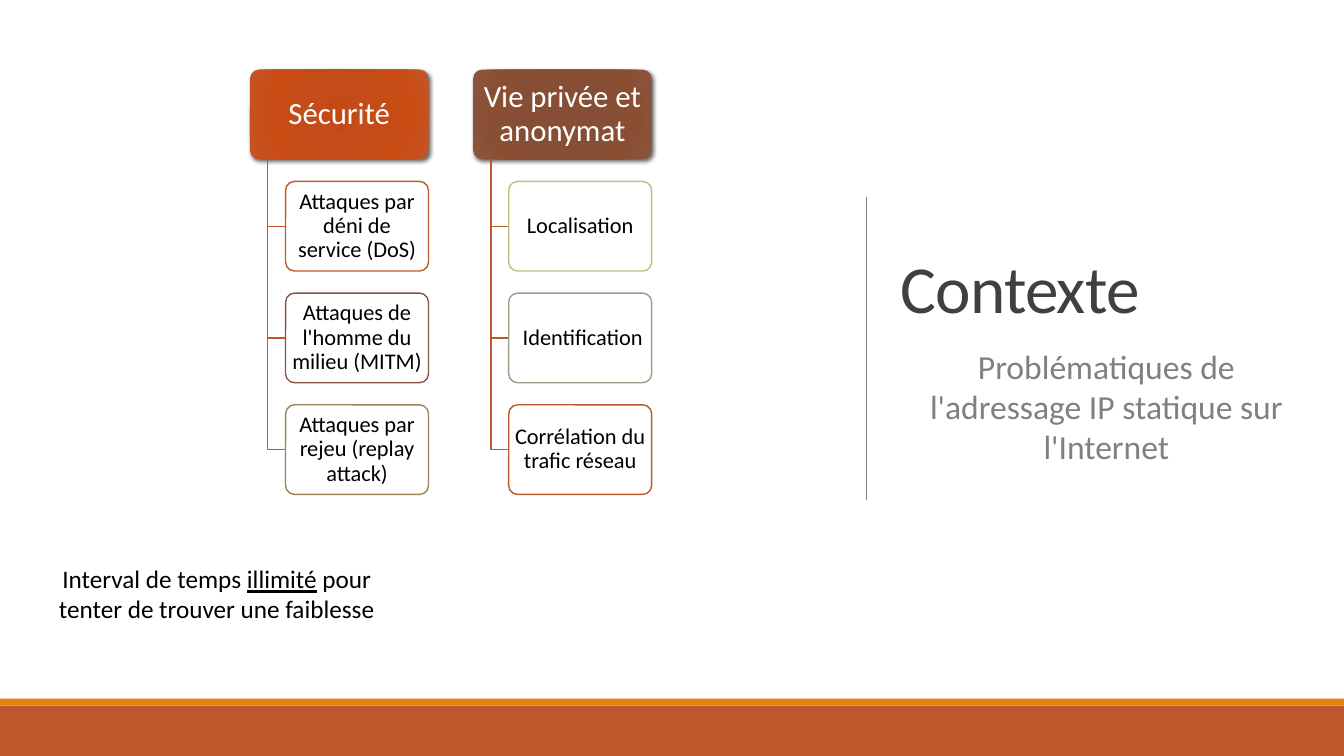
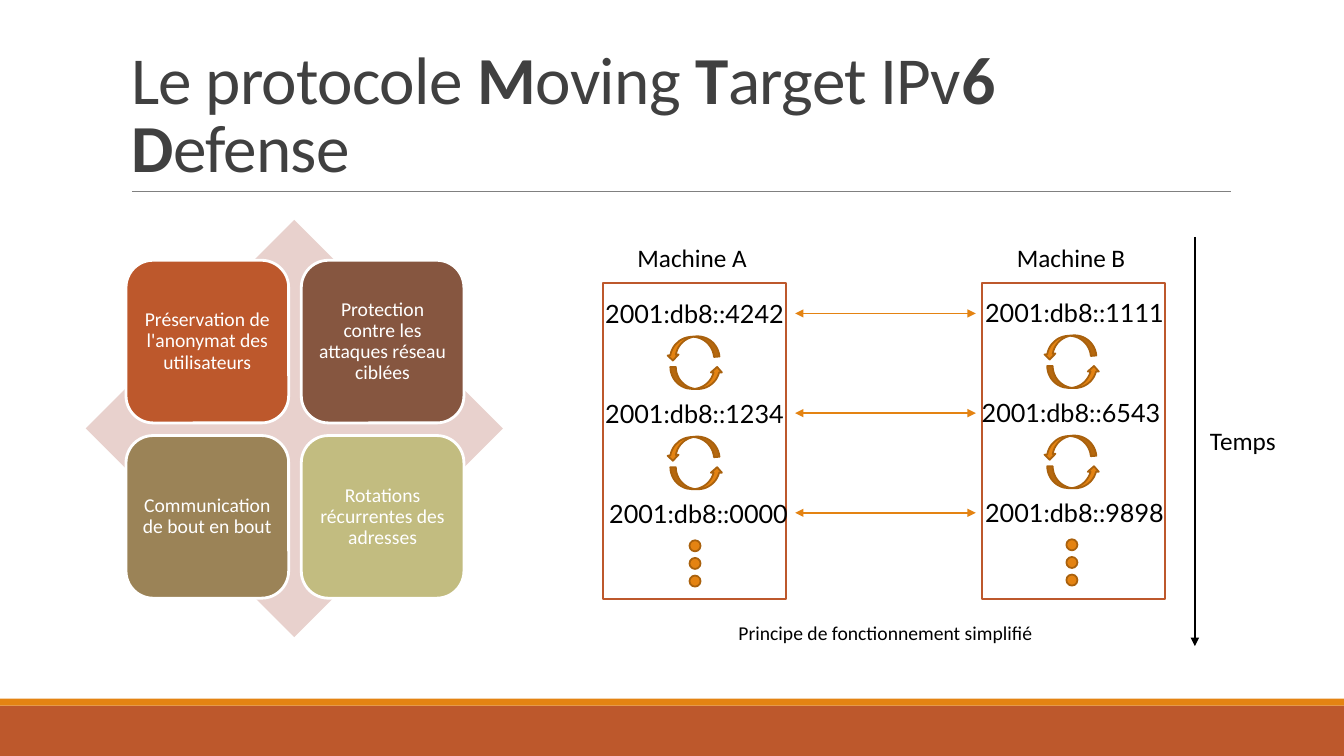
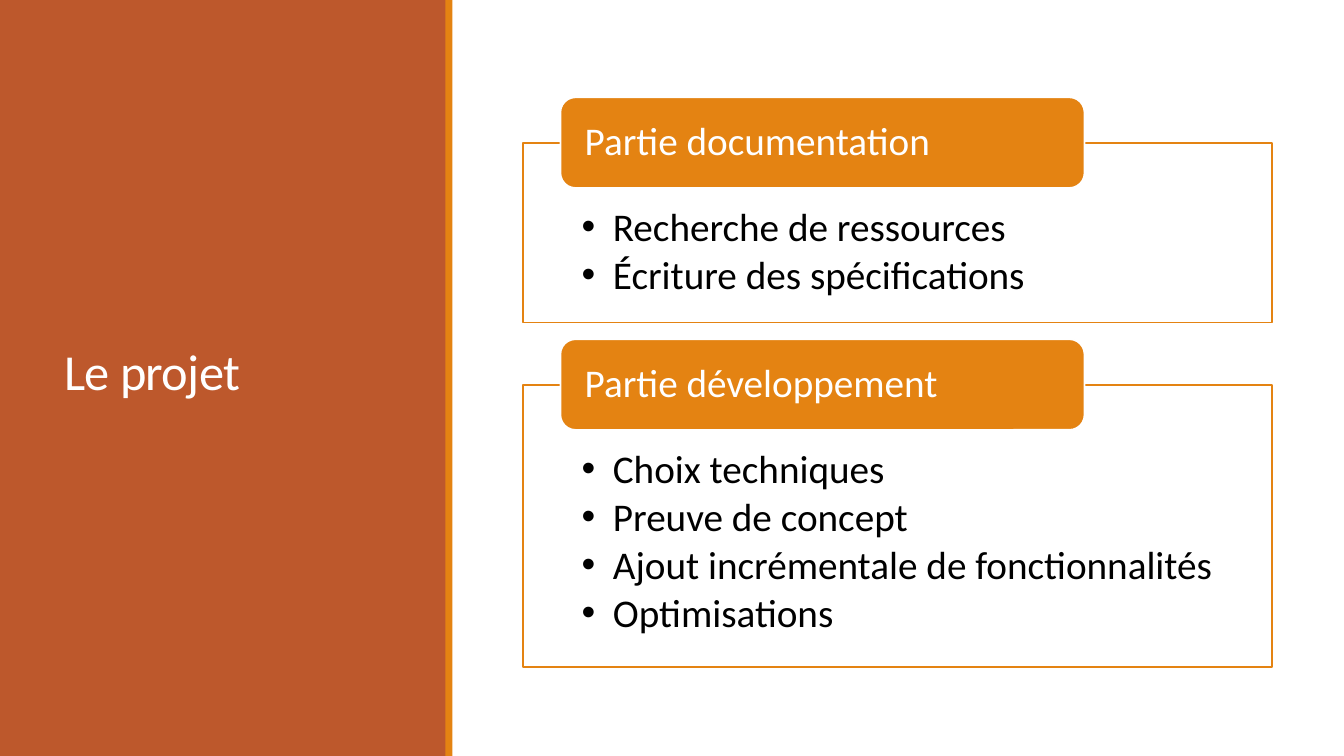
import lxml.etree
import pptx
import pptx.dml.color
import pptx.enum.shapes
import pptx.enum.text
import pptx.oxml.ns
import pptx.util

Pt = pptx.util.Pt
RGBColor = pptx.dml.color.RGBColor
SHAPE = pptx.enum.shapes.MSO_SHAPE
ALIGN = pptx.enum.text.PP_ALIGN
ANCHOR = pptx.enum.text.MSO_ANCHOR
qn = pptx.oxml.ns.qn

WHITE = RGBColor(0xFF, 0xFF, 0xFF)
BLACK = RGBColor(0, 0, 0)
DARK = RGBColor(0x40, 0x40, 0x40)
GREY = RGBColor(0x80, 0x80, 0x80)
ORANGE = RGBColor(0xE4, 0x83, 0x12)
BROWN_ORANGE = RGBColor(0xA9, 0x61, 0x0D)
RUST = RGBColor(0xBD, 0x58, 0x2C)
BROWN = RGBColor(0x86, 0x56, 0x40)
KHAKI = RGBColor(0x9B, 0x83, 0x57)
OLIVE = RGBColor(0xC2, 0xBC, 0x80)
SAGE = RGBColor(0x94, 0xA0, 0x88)
PINK = RGBColor(0xE8, 0xD1, 0xCD)

WIDTH, HEIGHT = 960, 540
FONT = "Calibri"
ADDRESS_FONT = "Lato"

ISSUES = [
    ("Sécurité", ("C44A15", "C34C18", "C94C15", "C45525"), [
        ("Attaques par déni de service (DoS)", RUST),
        ("Attaques de l'homme du milieu (MITM)", BROWN),
        ("Attaques par rejeu (replay attack)", KHAKI),
    ]),
    ("Vie privée et anonymat", ("874C32", "864E34", "8A4E33", "8A553D"), [
        ("Localisation", OLIVE),
        (" Identification", SAGE),
        ("Corrélation du trafic réseau", RUST),
    ]),
]
GRADIENT_STOPS = (0, 34, 70, 100)
REMARK = [("Interval de temps ", False), ("illimité", True),
          (" pour tenter de trouver une faiblesse", False)]

PROTOCOL_TITLE = [("Le protocole ", False), ("M", True), ("oving ", False), ("T", True),
                  ("arget IPv", False), ("6 D", True), ("efense", False)]
GOALS = [
    ("Préservation de l'anonymat des utilisateurs", RUST),
    ("Protection contre les attaques réseau ciblées", BROWN),
    ("Communication de bout en bout", KHAKI),
    ("Rotations récurrentes des adresses", OLIVE),
]
MACHINES = [
    {"name": "Machine A", "left": 430.6, "shift": (0, 0),
     "addresses": [("2001:db8::4242", 0), ("2001:db8::1234", 0), ("2001:db8::0000", 2.9)]},
    {"name": "Machine B", "left": 701.3, "shift": (-1.5, -0.7),
     "addresses": [("2001:db8::1111", 0.7), ("2001:db8::6543", -1.8), ("2001:db8::9898", 0.7)]},
]

PARTS = [
    ("Partie documentation", 102.2, 128.2,
     ["Recherche de ressources", "Écriture des spécifications"]),
    ("Partie développement", 275, 201.6,
     ["Choix techniques", "Preuve de concept",
      "Ajout incrémentale de fonctionnalités", "Optimisations"]),
]


def add_node(parent, tag, **attributes):
    return lxml.etree.SubElement(parent, qn(tag), attributes)


def place(shape, left, top, width, height):
    shape.left, shape.top, shape.width, shape.height = Pt(left), Pt(top), Pt(width), Pt(height)


def paint(shape, fill=None, line=None, weight=1.25):
    if fill is None:
        shape.fill.background()
    else:
        shape.fill.solid()
        shape.fill.fore_color.rgb = fill
    if line is None:
        shape.line.fill.background()
    else:
        shape.line.color.rgb = line
        shape.line.width = Pt(weight)


def set_margins(frame, left, top, right, bottom):
    frame.margin_left, frame.margin_top = Pt(left), Pt(top)
    frame.margin_right, frame.margin_bottom = Pt(right), Pt(bottom)


def style(frame, size, color, align=ALIGN.CENTER, spacing=None, font=FONT):
    frame.word_wrap = True
    for para in frame.paragraphs:
        para.alignment = align
        if spacing:
            para.line_spacing = spacing
        for span in para.runs:
            span.font.name = font
            span.font.size = Pt(size)
            span.font.color.rgb = color


def add_spans(para, spans, attribute):
    for text, marked in spans:
        span = para.add_run()
        span.text = text
        if marked:
            setattr(span.font, attribute, True)


def add_box(slide, kind, bounds, fill=None, line=None, weight=1.25):
    box = slide.shapes.add_shape(kind, *map(Pt, bounds))
    box.shadow.inherit = False
    paint(box, fill, line, weight)
    return box


def label_box(box, text, size, color, margins, align=ALIGN.CENTER):
    frame = box.text_frame
    frame.text = text
    frame.vertical_anchor = ANCHOR.MIDDLE
    set_margins(frame, *margins)
    style(frame, size, color, align, 0.9)


def add_text(slide, bounds, text, size, color=BLACK, font=FONT):
    box = slide.shapes.add_textbox(*map(Pt, bounds))
    if isinstance(text, str):
        box.text_frame.text = text
    else:
        add_spans(box.text_frame.paragraphs[0], text, "underline")
    style(box.text_frame, size, color, font=font)


def add_line(slide, start, end, color, weight, heads=()):
    line = slide.shapes.add_connector(pptx.enum.shapes.MSO_CONNECTOR.STRAIGHT,
                                      *map(Pt, start + end))
    line.line.color.rgb = color
    line.line.width = Pt(weight)
    for head in heads:
        add_node(line.line._get_or_add_ln(), head, type="triangle")
    add_node(line.element.spPr, "a:effectLst")


def set_title(slide, bounds, text, size=48, color=DARK, anchor=ANCHOR.MIDDLE):
    title = slide.shapes.title
    place(title, *bounds)
    frame = title.text_frame
    if isinstance(text, str):
        frame.text = text
    else:
        add_spans(frame.paragraphs[0], text, "bold")
    frame.auto_size = pptx.enum.text.MSO_AUTO_SIZE.NONE
    frame.vertical_anchor = anchor
    style(frame, size, color, ALIGN.LEFT, 0.85)
    for span in frame.paragraphs[0].runs:
        span.font._element.set("spc", "-50")
    return title


def add_bands(slide):
    add_box(slide, SHAPE.RECTANGLE, (0, 504, WIDTH, 36), RUST)
    add_box(slide, SHAPE.RECTANGLE, (0, 499, WIDTH, 5), ORANGE)


def add_glow(box, colors):
    properties = box.element.spPr
    gradient = lxml.etree.Element(qn("a:gradFill"), rotWithShape="1")
    stops = add_node(gradient, "a:gsLst")
    for position, color in zip(GRADIENT_STOPS, colors):
        add_node(add_node(stops, "a:gs", pos=str(position * 1000)), "a:srgbClr", val=color)
    center = add_node(gradient, "a:path", path="circle")
    add_node(center, "a:fillToRect", l="100000", t="100000", r="100000", b="100000")
    properties.replace(properties.find(qn("a:solidFill")), gradient)
    shadow = add_node(properties.find(qn("a:effectLst")), "a:outerShdw",
                      blurRad=str(Pt(3)), dist=str(Pt(2)), dir="2700000")
    add_node(add_node(shadow, "a:srgbClr", val="000000"), "a:alpha", val="60000")


def add_elbow(slide, left, top, right, bottom):
    builder = slide.shapes.build_freeform(Pt(left), Pt(top))
    builder.add_line_segments([(Pt(left), Pt(bottom)), (Pt(right), Pt(bottom))], close=False)
    elbow = builder.convert_to_shape()
    elbow.shadow.inherit = False
    paint(elbow, None, RUST, 1)


def build_context(deck):
    slide = deck.slides.add_slide(deck.slide_layouts[5])
    add_bands(slide)
    title = set_title(slide, (635.8, 60.5, 302.4, 398), "Contexte")
    title.text_frame.margin_bottom = Pt(103.6)
    add_line(slide, (618.5, 141), (618.5, 357), GREY, 0.5)

    top, row_pitch, height = 49.8, 79.8, 64
    for column, (heading, colors, items) in enumerate(ISSUES):
        left = 178.6 + 159.4 * column
        header = add_box(slide, SHAPE.ROUNDED_RECTANGLE, (left, top, 127.5, height), RUST)
        header.adjustments[0] = 0.1
        add_glow(header, colors)
        label_box(header, heading, 22, WHITE, (3.3, 2.2, 3.3, 2.2))
        for row, (text, color) in enumerate(items, 1):
            row_top = top + row_pitch * row
            add_elbow(slide, left + 12.7, top + height, left + 25.4, row_top + height / 2)
            box = add_box(slide, SHAPE.ROUNDED_RECTANGLE,
                          (left + 25.4, row_top, 102.1, height), WHITE, color, 1)
            box.adjustments[0] = 0.1
            label_box(box, text, 16, BLACK, (2.4, 1.6, 2.4, 1.6))

    add_text(slide, (28.8, 398.9, 252, 51), REMARK, 18)
    add_text(slide, (635.8, 243.4, 308.9, 95),
             "Problématiques de l'adressage IP statique sur l'Internet", 24, GREY)


def add_machine(slide, machine):
    left = machine["left"]
    shift_x, shift_y = machine["shift"]
    add_text(slide, (left + 16.6, 169.2, 94.3, 28.8), machine["name"], 18)
    add_box(slide, SHAPE.RECTANGLE, (left, 202.3, 131, 225.4), None, RUST)
    for row, (address, nudge) in enumerate(machine["addresses"]):
        drop = 71.6 * row + shift_y
        add_text(slide, (left - 42.5 + nudge, 209.5 + drop, 216, 28.8), address, 18,
                 font=ADDRESS_FONT)
        if row < len(machine["addresses"]) - 1:
            for offset, top, angle in ((48.2, 262.1, 0), (45.3, 240.5, 175)):
                arrow = add_box(slide, SHAPE.CURVED_UP_ARROW,
                                (left + offset + shift_x, top + drop, 37.4, 15.8),
                                ORANGE, BROWN_ORANGE)
                arrow.rotation = angle
    for dot in range(3):
        add_box(slide, SHAPE.OVAL, (left + 61.9 + shift_x, 385.9 + 12.6 * dot + shift_y, 7.9, 7.9),
                ORANGE, BROWN_ORANGE)


def build_protocol(deck):
    slide = deck.slides.add_slide(deck.slide_layouts[5])
    add_bands(slide)
    set_title(slide, (86.4, 22.3, 792, 114.5), PROTOCOL_TITLE, anchor=ANCHOR.BOTTOM)
    add_line(slide, (94.3, 136.8), (879, 136.8), GREY, 0.5)

    add_box(slide, SHAPE.DIAMOND, (61.2, 157, 298, 298), PINK)
    for index, (text, color) in enumerate(GOALS):
        row, column = divmod(index, 2)
        tile = add_box(slide, SHAPE.ROUNDED_RECTANGLE,
                       (90 + 125.2 * column, 185.9 + 125.2 * row, 116.2, 116.2), color, WHITE, 2)
        label_box(tile, text, 14, WHITE, (4.2, 4.2, 4.2, 4.2))

    for machine in MACHINES:
        add_machine(slide, machine)
    for row in range(3):
        level = 223.9 + 71.2 * row
        add_line(slide, (697, level), (568, level), ORANGE, 1.25, ("a:headEnd", "a:tailEnd"))
    add_line(slide, (853.5, 169.2), (853.5, 461.5), BLACK, 1.25, ("a:tailEnd",))
    add_text(slide, (824.4, 300.2, 126.7, 28.8), "Temps", 18)
    add_text(slide, (431.3, 439.9, 402.5, 24.5), "Principe de fonctionnement simplifié", 14)


def fill_list(panel, items):
    frame = panel.text_frame
    frame.text = "\n".join(items)
    frame.auto_size = pptx.enum.text.MSO_AUTO_SIZE.NONE
    frame.vertical_anchor = ANCHOR.TOP
    set_margins(frame, 41.8, 46.1, 41.8, 15.8)
    style(frame, 28, BLACK, ALIGN.LEFT, 0.9)
    for para in frame.paragraphs:
        para.space_before = Pt(0)
        para.space_after = Pt(4)
        properties = para._p.get_or_add_pPr()
        properties.set("marL", str(Pt(22.3)))
        properties.set("indent", str(-Pt(22.3)))
        add_node(properties, "a:buChar", char="•")


def build_project(deck):
    slide = deck.slides.add_slide(deck.slide_layouts[3])
    sidebar = add_box(slide, SHAPE.RECTANGLE, (0, 0, 319, HEIGHT), RUST)
    sidebar.element.getparent().insert(2, sidebar.element)
    set_title(slide, (38.9, 41, 242.6, 454.3), "Le projet", 36, WHITE)
    add_box(slide, SHAPE.RECTANGLE, (318.2, 0, 5, HEIGHT), ORANGE)
    for index, (heading, top, height, items) in enumerate(PARTS, 1):
        panel = slide.placeholders[index]
        place(panel, 373.7, top, 535, height)
        paint(panel, WHITE, ORANGE)
        fill_list(panel, items)
        header = add_box(slide, SHAPE.ROUNDED_RECTANGLE, (400.3, top - 32.7, 374.4, 64.8),
                         ORANGE, WHITE)
        label_box(header, heading, 28, WHITE, (14.2, 0, 14.2, 0), ALIGN.LEFT)


def main():
    deck = pptx.Presentation()
    deck.slide_width, deck.slide_height = Pt(WIDTH), Pt(HEIGHT)
    build_context(deck)
    build_protocol(deck)
    build_project(deck)
    deck.save("out.pptx")


if __name__ == "__main__":
    main()
